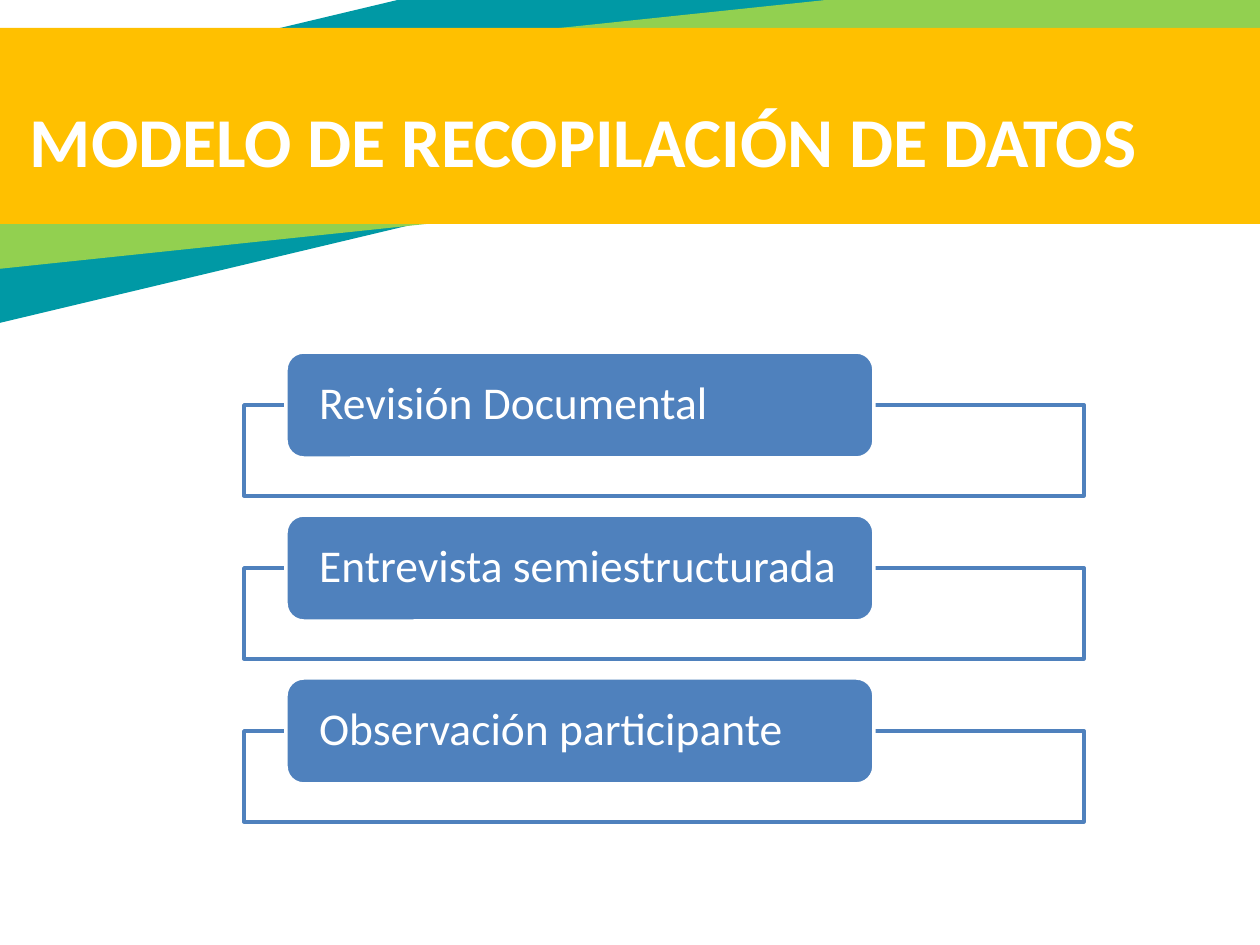
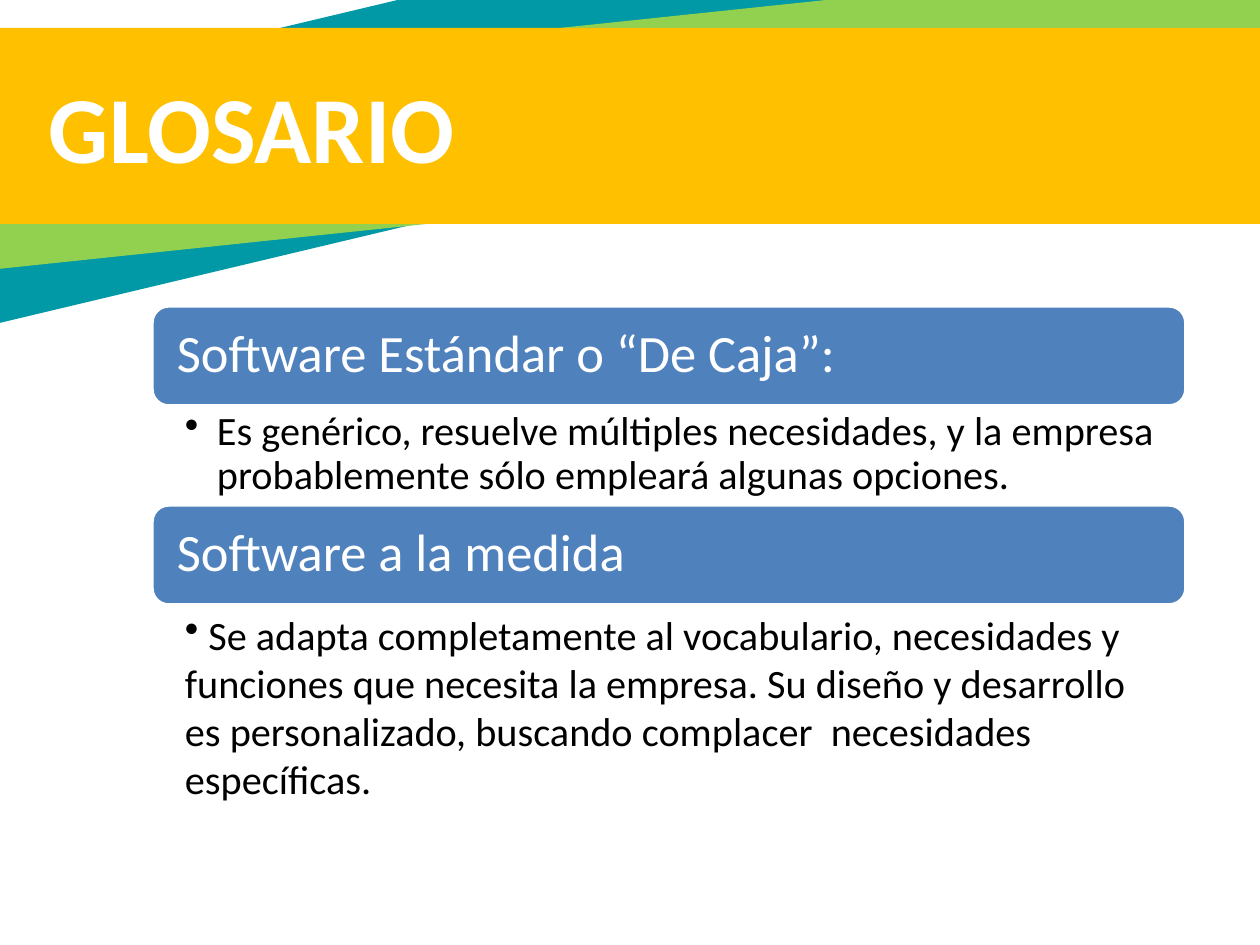
import lxml.etree
import pptx
import pptx.dml.color
import pptx.enum.shapes
import pptx.enum.text
import pptx.oxml.ns
import pptx.util

PIXEL = pptx.util.Inches(1) // 126
FONT = "Calibri"
COLORS = {
    "teal": "0099A5",
    "green": "92D050",
    "yellow": "FFC000",
    "blue": "4F81BD",
    "white": "FFFFFF",
    "black": "000000",
}
# Name of colour, (left, top, width, height), rotation
BANDS = [
    ("teal", (-316, -23, 1646, 222), -13.4),
    ("green", (-139, 25, 1465, 181), -6),
    ("yellow", (-134, 28, 1465, 196), 0),
]
SHAPES = pptx.enum.shapes.MSO_SHAPE
ANCHORS = pptx.enum.text.MSO_ANCHOR


def color(name):
    """Return the named colour as an RGBColor."""
    return pptx.dml.color.RGBColor.from_string(COLORS[name])


def to_emu(box):
    """Turn pixel lengths into EMU."""
    return [length * PIXEL for length in box]


def add_xml(parent, tag, **attributes):
    """Append a DrawingML child element to parent."""
    return lxml.etree.SubElement(parent, pptx.oxml.ns.qn(tag), attributes)


def write_text(shape, text, size, ink="white", bold=False, anchor=ANCHORS.MIDDLE,
               insets=(13, 6, 13, 6), line_spacing=1.0, bullet_indent=None):
    """Put one formatted paragraph in a shape; insets run left, top, right, bottom."""
    frame = shape.text_frame
    frame.word_wrap = True
    frame.vertical_anchor = anchor
    (frame.margin_left, frame.margin_top,
     frame.margin_right, frame.margin_bottom) = to_emu(insets)
    paragraph = frame.paragraphs[0]
    paragraph.alignment = pptx.enum.text.PP_ALIGN.LEFT
    paragraph.line_spacing = line_spacing
    if bullet_indent is not None:
        properties = paragraph._p.get_or_add_pPr()
        properties.set("marL", str(bullet_indent * PIXEL))
        properties.set("indent", str(-bullet_indent * PIXEL))
        add_xml(properties, "a:buChar", char="•")
    run = paragraph.add_run()
    run.text = text
    run.font.name = FONT
    run.font.size = pptx.util.Pt(size)
    run.font.bold = bold
    run.font.color.rgb = color(ink)


class Deck:
    """The shared style and the slide being built."""

    def __init__(self):
        """Start a 10 by 7.5 inch presentation."""
        self.presentation = pptx.Presentation()
        self.presentation.slide_width = pptx.util.Inches(10)
        self.presentation.slide_height = pptx.util.Inches(7.5)
        self.slide = None

    def start_slide(self):
        """Add a blank slide with the three header bands."""
        layout = self.presentation.slide_layouts[6]
        self.slide = self.presentation.slides.add_slide(layout)
        for fill, box, rotation in BANDS:
            self.block(SHAPES.RECTANGLE, box, fill).rotation = rotation

    def block(self, kind, box, fill, line=None):
        """Draw a filled preset shape, outlined if a line colour is given."""
        shape = self.slide.shapes.add_shape(kind, *to_emu(box))
        shape.shadow.inherit = False
        shape.fill.solid()
        shape.fill.fore_color.rgb = color(fill)
        if line:
            shape.line.color.rgb = color(line)
            shape.line.width = pptx.util.Pt(2)
        else:
            shape.line.fill.background()
        return shape

    def text(self, box, text, **style):
        """Add a text box."""
        write_text(self.slide.shapes.add_textbox(*to_emu(box)), text, **style)

    def title(self, box, text, size, left_inset, top_inset=6):
        """Add the bold white title over the yellow band."""
        self.text(box, text, size=size, bold=True,
                  insets=(left_inset, top_inset, 13, 6))

    def label(self, box, text, size, inset):
        """Draw a blue rounded box with its text."""
        shape = self.block(SHAPES.ROUNDED_RECTANGLE, box, "blue", "white")
        write_text(shape, text, size=size, insets=(inset, 5, inset, 5),
                   line_spacing=0.9)

    def frame(self, box):
        """Draw a blue outline over a slightly transparent white fill."""
        shape = self.block(SHAPES.RECTANGLE, box, "white", "blue")
        fill = shape._element.spPr.find(".//" + pptx.oxml.ns.qn("a:srgbClr"))
        add_xml(fill, "a:alpha", val="90000")

    def body(self, box, text, **style):
        """Add a bulleted definition."""
        self.text(box, text, size=23, ink="black", anchor=ANCHORS.TOP,
                  insets=(33, 5, 29, 5), **style)


def build_collection_model(deck):
    """Build the slide with the data collection methods."""
    deck.start_slide()
    deck.title((-122, 32, 1450, 188), "MODELO DE RECOPILACIÓN DE DATOS", 40,
               left_inset=152, top_inset=34)
    methods = ["Revisión Documental", "Entrevista semiestructurada",
               "Observación participante"]
    for index, method in enumerate(methods):
        top = 405 + 163 * index
        deck.frame((244, top, 840, 91))
        deck.label((286, top - 53, 588, 106), method, size=26, inset=28)


def build_glossary(deck):
    """Build the slide with the two definitions."""
    deck.start_slide()
    deck.title((-131, 32, 1363, 188), "GLOSARIO", 54, left_inset=180)
    left, width, header_height = 152, 1034, 100
    entries = [
        (306, 101, "Software Estándar o “De Caja”:",
         "Es genérico, resuelve múltiples necesidades, y la empresa "
         "probablemente sólo empleará algunas opciones.",
         {"bullet_indent": 32, "line_spacing": 0.9}),
        (505, 252, "Software a la medida",
         " Se adapta completamente al vocabulario, necesidades y funciones "
         "que necesita la empresa. Su diseño y desarrollo es personalizado, "
         "buscando complacer  necesidades específicas.",
         {"bullet_indent": 0}),
    ]
    for top, body_height, term, meaning, style in entries:
        deck.label((left, top, width, header_height), term, size=30, inset=20)
        deck.body((left, top + header_height, width, body_height), meaning, **style)


def main():
    """Build both slides and save them."""
    deck = Deck()
    build_collection_model(deck)
    build_glossary(deck)
    deck.presentation.save("out.pptx")


main()
